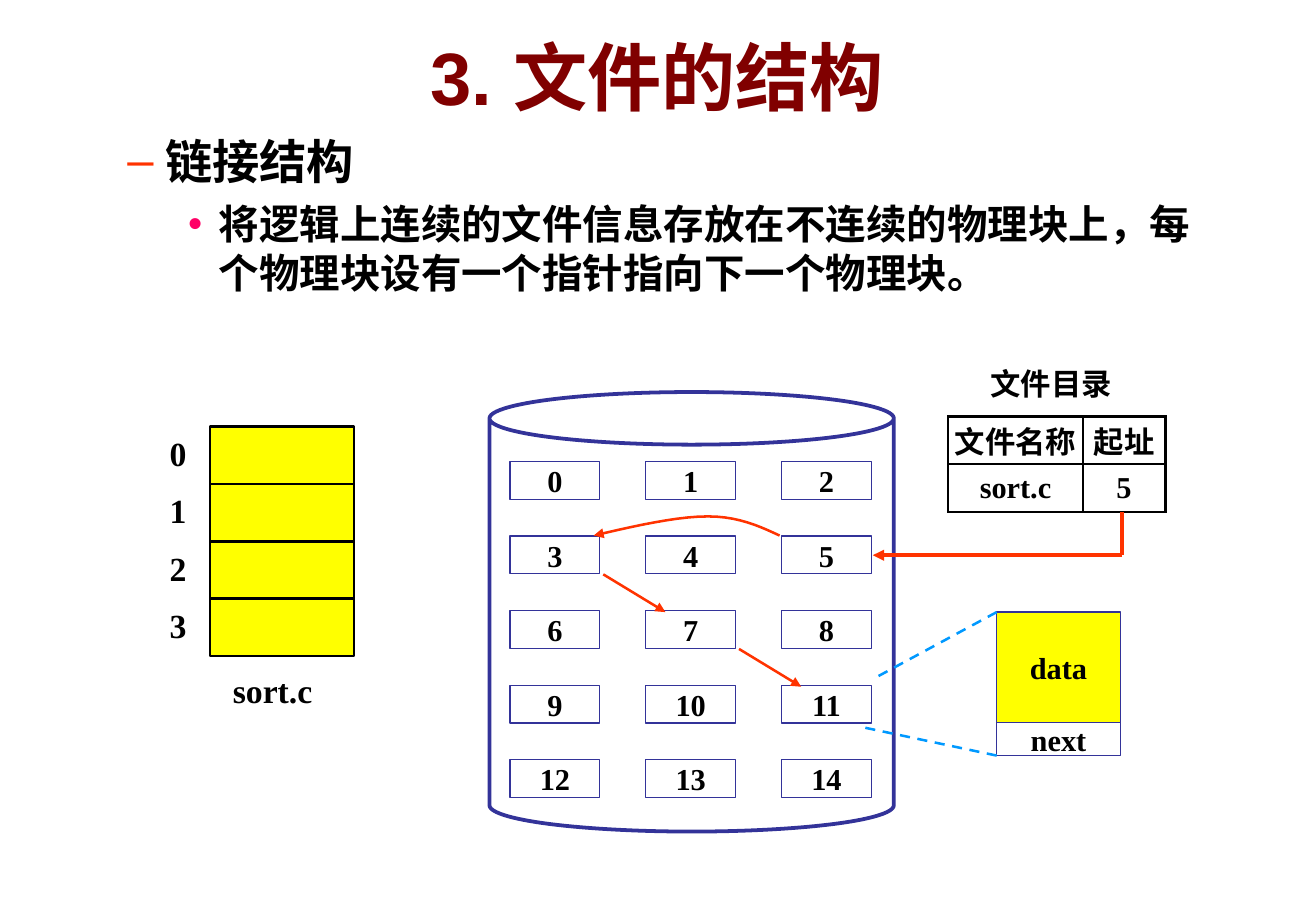
from lxml import etree
from pptx import Presentation
from pptx.dml.color import RGBColor
from pptx.enum.dml import MSO_LINE
from pptx.enum.shapes import MSO_CONNECTOR, MSO_SHAPE
from pptx.enum.text import MSO_ANCHOR, MSO_AUTO_SIZE, PP_ALIGN
from pptx.oxml.ns import qn
from pptx.util import Cm, Pt

RECT, CAN = MSO_SHAPE.RECTANGLE, MSO_SHAPE.CAN
STRAIGHT = MSO_CONNECTOR.STRAIGHT
DASH = MSO_LINE.DASH
MIDDLE, TOP = MSO_ANCHOR.MIDDLE, MSO_ANCHOR.TOP
CENTER, LEFT = PP_ALIGN.CENTER, PP_ALIGN.LEFT
NO_FIT = MSO_AUTO_SIZE.NONE

SANS, SERIF = "Arial", "Times New Roman"
COLORS = {
    "title": "800000", "text": "000000", "dash": "FF3300", "dot": "FF0066",
    "disk": "333399", "data": "FFFF00", "paper": "FFFFFF",
    "pointer": "FF3300", "zoom": "0099FF",
}


def color(name):
    """Return the named colour."""
    return RGBColor.from_string(COLORS[name])


def style_text(paragraph, size, face=SERIF, ink="text", align=LEFT):
    """Format the runs of a paragraph in bold."""
    paragraph.alignment = align
    for run in paragraph.runs:
        run.font.size, run.font.name, run.font.bold = Pt(size), face, True
        run.font.color.rgb = color(ink)


def place(shape, left, top, width, height):
    """Move and size a shape, in centimetres."""
    shape.left, shape.top = Cm(left), Cm(top)
    shape.width, shape.height = Cm(width), Cm(height)


def add_label(slide, text, size, left, top, width, height):
    """Add a plain text box."""
    frame = slide.shapes.add_textbox(Cm(left), Cm(top), Cm(width), Cm(height)).text_frame
    frame.word_wrap = True
    frame.text = text
    style_text(frame.paragraphs[0], size)


def add_box(slide, left, top, width, height, fill, edge, weight, text="", kind=RECT):
    """Add an outlined shape with optional centred text."""
    box = slide.shapes.add_shape(kind, Cm(left), Cm(top), Cm(width), Cm(height))
    box.shadow.inherit = False
    if fill:
        box.fill.solid()
        box.fill.fore_color.rgb = color(fill)
    else:
        box.fill.background()
    box.line.color.rgb, box.line.width = color(edge), Pt(weight)
    if text:
        frame = box.text_frame
        frame.word_wrap, frame.vertical_anchor = False, MIDDLE
        frame.text = text
        style_text(frame.paragraphs[0], 18, align=CENTER)
    return box


def style_line(line, ink, weight, arrow=False):
    """Set the colour, width and arrowhead of a line."""
    line.color.rgb, line.width = color(ink), Pt(weight)
    if arrow:
        etree.SubElement(line._get_or_add_ln(), qn("a:tailEnd"), type="triangle")


def add_line(slide, start, end, ink, weight, arrow=False, dashed=False):
    """Add a straight line between two points."""
    link = slide.shapes.add_connector(STRAIGHT, *map(Cm, (*start, *end)))
    if dashed:
        link.line.dash_style = DASH
    style_line(link.line, ink, weight, arrow)
    etree.SubElement(link._element.spPr, qn("a:effectLst"))


def bezier(points, steps=10):
    """Sample a cubic curve, leaving out its first point."""
    for step in range(1, steps + 1):
        t = step / steps
        weights = ((1 - t) ** 3, 3 * t * (1 - t) ** 2, 3 * t * t * (1 - t), t ** 3)
        yield tuple(sum(w * p[axis] for w, p in zip(weights, points)) for axis in (0, 1))


def fill_title(slide, left, top, width, height):
    """Set the slide title."""
    title = slide.shapes.title
    place(title, left, top, width, height)
    title.text_frame.text = "3. 文件的结构"
    title.text_frame.vertical_anchor = MIDDLE
    title.text_frame.auto_size = NO_FIT
    style_text(title.text_frame.paragraphs[0], 44, SANS, "title", CENTER)


def fill_definition(slide, left, top, width, height):
    """Set the bulleted definition of the linked structure."""
    body = slide.placeholders[1]
    place(body, left, top, width, height)
    frame = body.text_frame
    frame.auto_size, frame.vertical_anchor = NO_FIT, TOP
    points = (
        ("链接结构", 1, 28, 0, 2.06, -0.79, "–", "dash"),
        ("将逻辑上连续的文件信息存放在不连续的物理块上，每个物理块设有一个指针指向下一个物理块。",
         2, 24, 6, 3.18, -0.64, "•", "dot"),
    )
    frame.text = "\n".join(point[0] for point in points)
    for paragraph, point in zip(frame.paragraphs, points):
        _, level, size, before, margin, indent, mark, ink = point
        paragraph.level, paragraph.space_before = level, Pt(before)
        props = paragraph._p.get_or_add_pPr()
        props.set("marL", str(Cm(margin)))
        props.set("indent", str(Cm(indent)))
        tint = etree.SubElement(props, qn("a:buClr"))
        etree.SubElement(tint, qn("a:srgbClr"), val=COLORS[ink])
        etree.SubElement(props, qn("a:buFont"), typeface=SANS)
        etree.SubElement(props, qn("a:buChar"), char=mark)
        style_text(paragraph, size, SANS)


def draw_logical_file(slide, left, top, width, record_height):
    """Draw the numbered logical records of the file."""
    for record in range(4):
        record_top = top + record * record_height
        add_box(slide, left, record_top, width, record_height, "data", "text", 1.5)
        add_label(slide, str(record), 20, left - 1.09, record_top, 0.86, 1.12)
    add_label(slide, "sort.c", 20, left + 0.23, top + 4.97, 2.39, 1.12)


def draw_disk(slide, left, top, width, height):
    """Draw the disk, its blocks and the chain between them."""
    step_x, step_y = 2.84, 1.56
    for block in range(15):
        row, column = divmod(block, 3)
        add_box(slide, left + 0.43 + column * step_x, top + 1.45 + row * step_y,
                1.88, 0.79, "paper", "disk", 0.75, str(block))
    disk = add_box(slide, left, top, width, height, None, "disk", 2.25, kind=CAN)
    disk.adjustments[0] = 0.13

    bend = [(left + x, top + y) for x, y in (
        (6.07, 3), (5.64, 2.8), (5.2, 2.6), (4.57, 2.6), (3.91, 2.6), (3.04, 2.8), (2.18, 3))]
    curve = [*bezier(bend[:4]), *bezier(bend[3:])]
    builder = slide.shapes.build_freeform(Cm(bend[0][0]), Cm(bend[0][1]))
    builder.add_line_segments([(Cm(x), Cm(y)) for x, y in curve], close=False)
    five_to_three = builder.convert_to_shape()
    five_to_three.shadow.inherit = False
    five_to_three.fill.background()
    style_line(five_to_three.line, "pointer", 1.5, arrow=True)

    for hop in range(2):
        x, y = left + 2.38 + hop * step_x, top + 3.81 + hop * step_y
        add_line(slide, (x, y), (x + 1.3, y + 0.79), "pointer", 1.5, arrow=True)


def draw_directory(slide, left, top, name_width, start_width, row_height):
    """Draw the file directory and its pointer to the first block."""
    add_label(slide, "文件目录", 18, left + 0.63, top - 1.19, 3.68, 1.02)
    entries = (("文件名称", "起址"), ("sort.c", "5"))
    table = slide.shapes.add_table(2, 2, Cm(left), Cm(top), Cm(name_width + start_width),
                                   Cm(2 * row_height)).table
    table.first_row = table.horz_banding = False
    table.columns[0].width, table.columns[1].width = Cm(name_width), Cm(start_width)
    for row, entry in enumerate(entries):
        table.rows[row].height = Cm(row_height)
        for column, text in enumerate(entry):
            cell = table.cell(row, column)
            cell.text, cell.vertical_anchor = text, MIDDLE
            cell.margin_left = cell.margin_right = cell.margin_top = cell.margin_bottom = 0
            style_text(cell.text_frame.paragraphs[0], 18, align=CENTER)
            for side in ("a:lnL", "a:lnR", "a:lnT", "a:lnB"):
                border = etree.SubElement(cell._tc.get_or_add_tcPr(), qn(side), w=str(Pt(1.5)))
                ink = etree.SubElement(border, qn("a:solidFill"))
                etree.SubElement(ink, qn("a:srgbClr"), val=COLORS["text"])
            cell.fill.solid()
            cell.fill.fore_color.rgb = color("paper")
    corner = (left + 3.63, top + 2.9)
    add_line(slide, (corner[0], top + 2 * row_height), corner, "pointer", 2.25)
    add_line(slide, corner, (left - 1.58, corner[1]), "pointer", 2.25, arrow=True)


def draw_block_detail(slide, left, top, width, data_height, next_height):
    """Draw the enlarged block with its data and next pointer."""
    bottom = top + data_height + next_height
    add_box(slide, left, top, width, data_height, "data", "disk", 0.75, "data")
    add_box(slide, left, top + data_height, width, next_height, "paper", "disk", 0.75, "next")
    add_line(slide, (left, top), (left - 2.59, top + 1.4), "zoom", 1.5, dashed=True)
    add_line(slide, (left, bottom), (left - 2.79, bottom - 0.59), "zoom", 1.5, dashed=True)


def main():
    """Build the slide and save it."""
    deck = Presentation()
    deck.slide_width, deck.slide_height = Cm(27.53), Cm(19.05)
    slide = deck.slides.add_slide(deck.slide_layouts[1])
    fill_title(slide, 1.37, 0, 24.77, 3.18)
    fill_definition(slide, 1.14, 2.64, 24.77, 12.57)
    draw_logical_file(slide, 4.39, 8.92, 3.02, 1.2)
    draw_disk(slide, 10.24, 8.2, 8.46, 9.19)
    draw_directory(slide, 19.84, 8.71, 2.81, 1.73, 1)
    draw_block_detail(slide, 20.85, 12.8, 2.59, 2.31, 0.69)
    deck.save("out.pptx")


if __name__ == "__main__":
    main()
